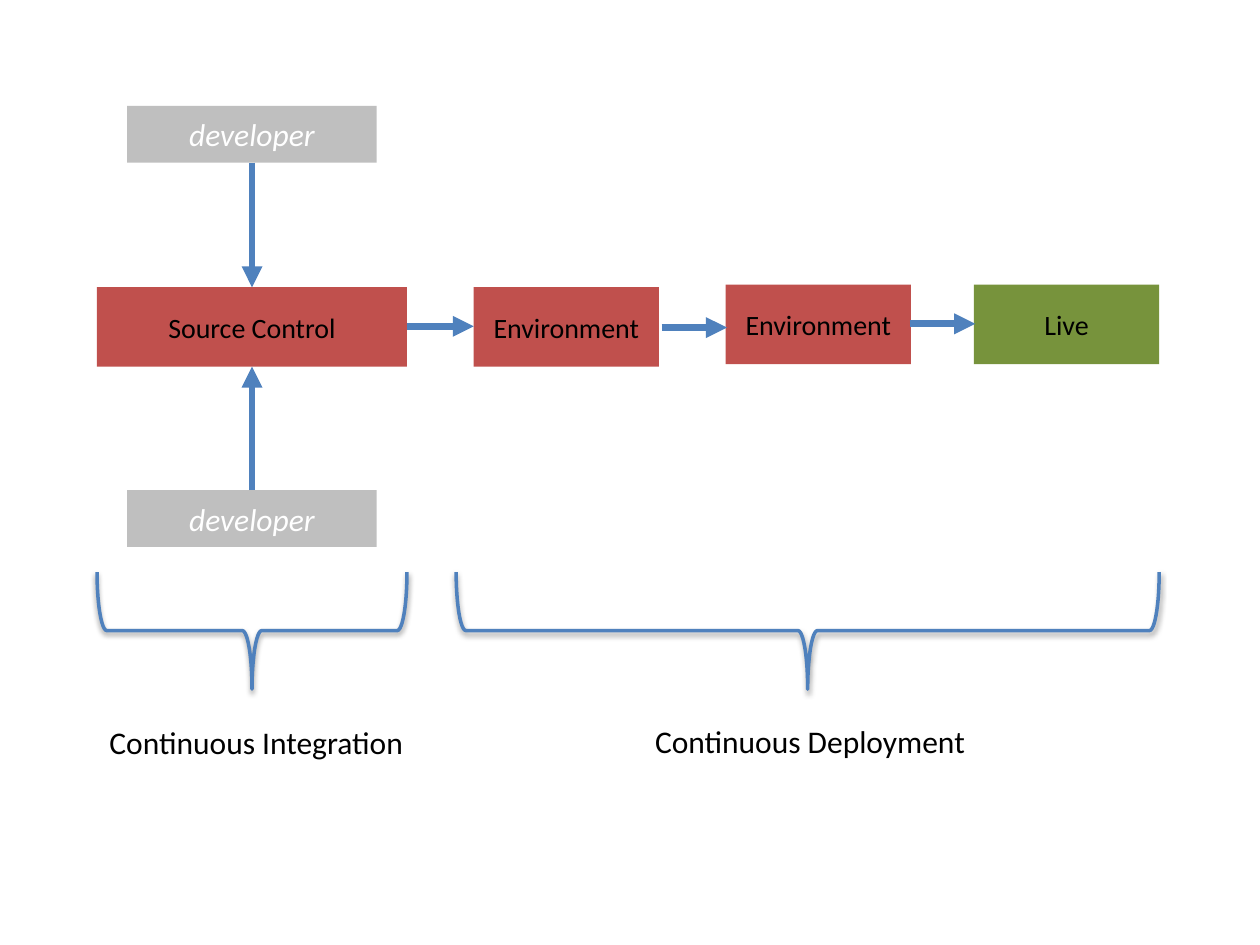
from lxml.etree import SubElement
from pptx import Presentation
from pptx.dml.color import RGBColor
from pptx.enum.shapes import MSO_CONNECTOR, MSO_SHAPE
from pptx.enum.text import MSO_ANCHOR, MSO_AUTO_SIZE, PP_ALIGN
from pptx.oxml.ns import qn
from pptx.util import Inches, Pt

RED = RGBColor(0xC0, 0x50, 0x4D)
GREEN = RGBColor(0x77, 0x93, 0x3C)
GREY = RGBColor(0xBF, 0xBF, 0xBF)
BLUE = RGBColor(0x4F, 0x81, 0xBD)
BLACK = RGBColor(0, 0, 0)
WHITE = RGBColor(0xFF, 0xFF, 0xFF)

STAGE_FONT = {"name": "Calibri", "size": Pt(16)}
DEVELOPER_FONT = {"name": "Calibri", "size": Pt(18), "italic": True}
CAPTION_FONT = {"name": "Calibri", "size": Pt(18)}

STAGE_HEIGHT = 0.63
STAGE_WIDTH = 1.47
DEVELOPER_HEIGHT = 0.45
SOURCE_CENTER = 2
SOURCE_TOP = 2.28
BRACE_TOP = 4.54
BRACE_DEPTH = 0.93


def write(frame, text, font_format, color):
    paragraph = frame.paragraphs[0]
    run = paragraph.add_run()
    run.text = text
    for attribute, value in font_format.items():
        setattr(run.font, attribute, value)
    run.font.color.rgb = color
    return paragraph


def add_box(slide, text, left, top, width, height, fill, font_format, color):
    box = slide.shapes.add_shape(
        MSO_SHAPE.RECTANGLE, *map(Inches, (left, top, width, height)))
    box.shadow.inherit = False
    box.fill.solid()
    box.fill.fore_color.rgb = fill
    box.line.fill.background()
    box.text_frame.word_wrap = True
    box.text_frame.vertical_anchor = MSO_ANCHOR.MIDDLE
    write(box.text_frame, text, font_format, color).alignment = PP_ALIGN.CENTER


def add_arrow(slide, start, end):
    arrow = slide.shapes.add_connector(
        MSO_CONNECTOR.STRAIGHT, *map(Inches, start + end))
    arrow.line.color.rgb = BLUE
    arrow.line.width = Pt(4)
    SubElement(arrow.line._get_or_add_ln(), qn("a:tailEnd"), type="triangle")
    SubElement(arrow._element.spPr, qn("a:effectLst"))


def add_brace(slide, left, span):
    unrotated_left = left + (span - BRACE_DEPTH) / 2
    unrotated_top = BRACE_TOP + (BRACE_DEPTH - span) / 2
    brace = slide.shapes.add_shape(
        MSO_SHAPE.RIGHT_BRACE,
        *map(Inches, (unrotated_left, unrotated_top, BRACE_DEPTH, span)))
    brace.rotation = 90
    brace.fill.background()
    brace.line.color.rgb = BLUE
    brace.line.width = Pt(2)
    brace.shadow.inherit = False
    effects = brace._element.spPr.find(qn("a:effectLst"))
    shadow = SubElement(
        effects, qn("a:outerShdw"), blurRad=str(Pt(3.1)), dist=str(Pt(1.6)),
        dir="5400000", rotWithShape="0")
    shadow_color = SubElement(shadow, qn("a:srgbClr"), val="000000")
    SubElement(shadow_color, qn("a:alpha"), val="38000")


def add_caption(slide, text, left, top):
    caption = slide.shapes.add_textbox(*map(Inches, (left, top, 2.89, 0.4)))
    caption.text_frame.word_wrap = True
    caption.text_frame.auto_size = MSO_AUTO_SIZE.SHAPE_TO_FIT_TEXT
    write(caption.text_frame, text, CAPTION_FONT, BLACK)


def main():
    presentation = Presentation()
    presentation.slide_width = Inches(10)
    presentation.slide_height = Inches(7.5)
    slide = presentation.slides.add_slide(presentation.slide_layouts[6])

    stages = [
        ("Source Control", 0.77, SOURCE_TOP, 2.46, RED),
        ("Environment", 3.76, SOURCE_TOP, STAGE_WIDTH, RED),
        ("Environment", 5.76, 2.26, STAGE_WIDTH, RED),
        ("Live", 7.73, 2.26, STAGE_WIDTH, GREEN),
    ]
    for text, left, top, width, fill in stages:
        add_box(slide, text, left, top, width, STAGE_HEIGHT, fill,
                STAGE_FONT, BLACK)

    for start, end, height in [(3.23, 3.76, 2.59), (5.25, 5.77, 2.6),
                               (7.22, 7.74, 2.57)]:
        add_arrow(slide, (start, height), (end, height))

    source_bottom = SOURCE_TOP + STAGE_HEIGHT
    for top, edge, source_edge in [
            (0.84, 0.84 + DEVELOPER_HEIGHT, SOURCE_TOP),
            (3.89, 3.89, source_bottom)]:
        add_box(slide, "developer", 1.01, top, 1.98, DEVELOPER_HEIGHT, GREY,
                DEVELOPER_FONT, WHITE)
        add_arrow(slide, (SOURCE_CENTER, edge), (SOURCE_CENTER, source_edge))

    for text, brace_left, span, text_left, text_top in [
            ("Continuous Integration", 0.77, 2.46, 0.77, 5.69),
            ("Continuous Deployment", 3.62, 5.58, 5.1, 5.68)]:
        add_brace(slide, brace_left, span)
        add_caption(slide, text, text_left, text_top)

    presentation.save("out.pptx")


if __name__ == "__main__":
    main()
